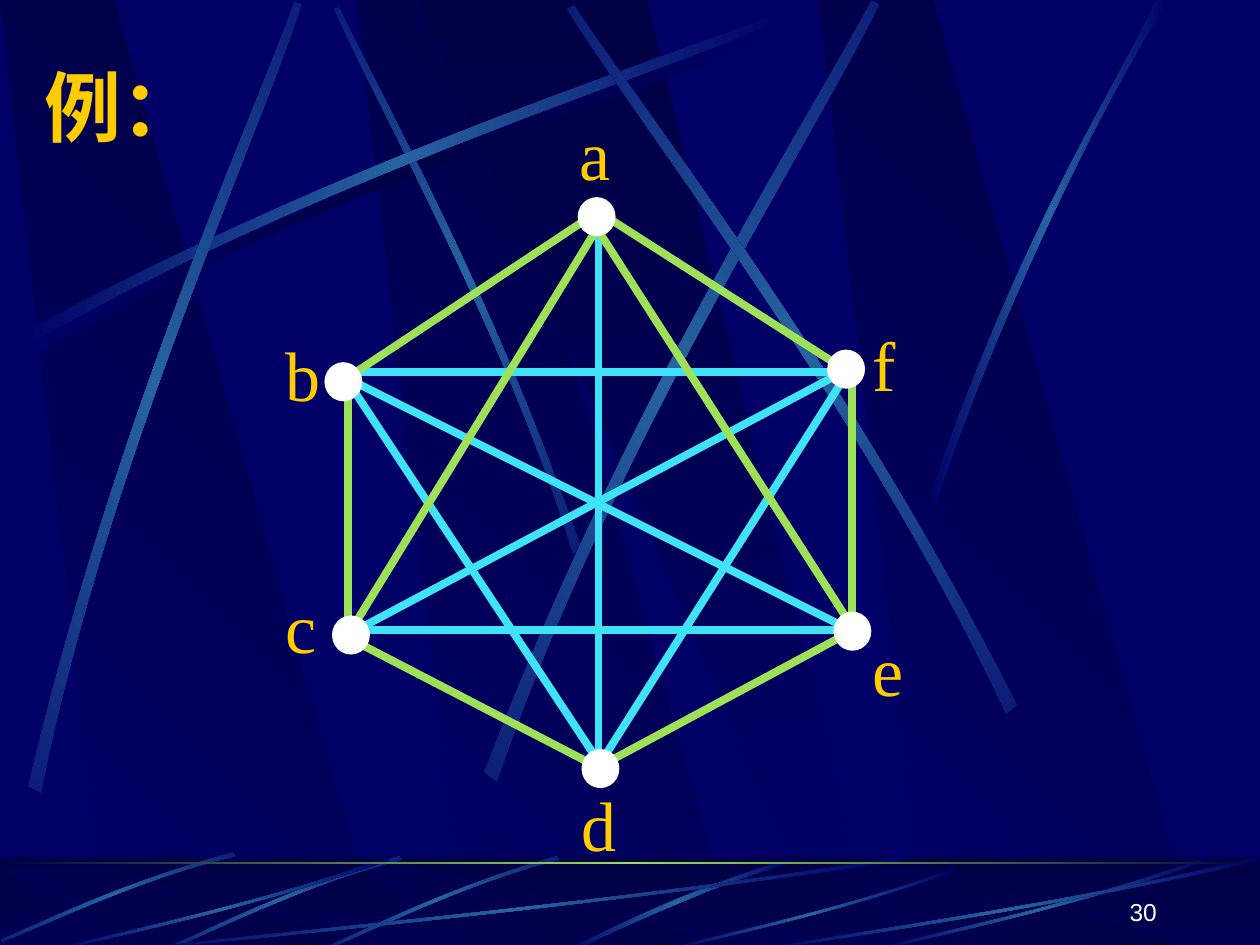
from dataclasses import dataclass

import pptx
import pptx.dml.color
import pptx.enum.shapes
import pptx.enum.text
import pptx.oxml
import pptx.oxml.ns
import pptx.util

COLUMNS, ROWS = 10, 7.5
COLORS = {"night": "000066", "dark": "000044", "steel": "2663A0", "lime": "9CE157",
          "cyan": "40E2F8", "gold": "FFCC00", "white": "FFFFFF"}
ANCHOR = pptx.enum.text.MSO_ANCHOR
ALIGN = pptx.enum.text.PP_ALIGN
FIT = pptx.enum.text.MSO_AUTO_SIZE.SHAPE_TO_FIT_TEXT
SHAPE = pptx.enum.shapes.MSO_SHAPE
GLOW = ("night", "steel", "night")
SHADE = ("night", "dark", "night")

# Outlines in shares of their box; a curved one is two Bezier curves, there and back.
SLAB = [(0.285, 1), (1, 1), (0.3, 0), (0, 0)]
WEDGE = [(0, 0), (0.9, 1), (1, 1), (0.5, 0)]
STREAK = [(0, 0.96), (0.43, 0.43), (0.83, 0.15), (0.995, 0),
          (1, 0.02), (0.83, 0.19), (0.38, 0.5), (0.005, 1)]
SWEEP = [(1, 0.04), (0.565, 0.57), (0.17, 0.85), (0.005, 1),
         (0, 0.99), (0.165, 0.81), (0.615, 0.51), (0.995, 0)]
STEEP = [(0, 0.99), (0.4, 0.44), (0.79, 0.17), (0.95, 0),
         (1, 0), (0.52, 0.37), (0.16, 0.81), (0.03, 1)]
BOW = [(0.99, 0), (0.49, 0.37), (0.16, 0.82), (0, 0.99),
       (0.03, 1), (0.23, 0.77), (0.68, 0.25), (1, 0.04)]


@dataclass
class Box:
    left: float
    top: float
    width: float
    height: float

    def lengths(self) -> list:
        return [grid(value) for value in (self.left, self.top, self.width, self.height)]


@dataclass
class Band:
    outline: list
    box: Box
    turn: float = 0
    flip: bool = False
    colors: tuple = GLOW


@dataclass
class Node:
    name: str
    dot: tuple
    label: tuple
    label_width: float


BIG = (6.08, 2.67)
UPPER_STREAKS = [
    Band(STREAK, Box(0.2, 0.18, *BIG), colors=SHADE),
    Band(STREAK, Box(1.41, 1.35, 4.42, 1.75), 45, True),
    Band(STREAK, Box(0.14, 0.1, *BIG)),
    Band(STREAK, Box(-1.71, 1.82, *BIG), 311.7),
    Band(STREAK, Box(2.31, 1.6, 6.24, 3.01), 321.6),
    Band(STREAK, Box(3.23, 1.52, *BIG), 34.7, True),
    Band(STEEP, Box(7.38, 0, 1.89, 3.97)),
]
LOWER_STREAKS = [
    Band(BOW, Box(4.48, 6.82, 1.8, 0.73)),
    *[Band(STREAK, Box(*place), 315, True)
      for place in ((2.58, 6.76, 1.84, 0.83), (1.33, 6.76, 1.84, 0.83), (0.04, 6.7, 1.8, 0.85))],
    *[Band(SWEEP, Box(left, 7.55 - height, width, height))
      for left, width, height in ((1, 6.17, 0.75), (0.42, 2.67, 0.75), (5.27, 2.31, 0.66),
                                  (6.92, 2.67, 0.75), (6, 4, 0.75))],
]
EDGES = {
    "cyan": [(2.8, 5, 6.8, 5), (4.75, 1.75, 4.75, 6.08), (2.83, 5, 6.75, 2.92),
             (2.75, 3, 6.75, 5), (2.73, 2.98, 4.82, 6.15), (4.75, 6.08, 6.75, 2.92),
             (2.75, 2.95, 6.75, 2.95)],
    "lime": [(2.76, 2.97, 2.76, 5.06), (4.67, 1.73, 2.8, 2.97), (6.74, 5.02, 4.82, 6.05),
             (4.75, 1.68, 6.7, 2.93), (2.76, 5.06, 4.67, 6.05), (4.71, 1.77, 6.74, 4.94),
             (4.79, 1.73, 2.8, 4.98), (6.76, 2.88, 6.76, 4.96)],
}
NODES = [
    Node("d", (4.62, 5.95), (4.52, 6.15), 0.48), Node("e", (6.62, 4.86), (6.83, 4.92), 0.45),
    Node("f", (6.57, 2.78), (6.83, 2.5), 0.39), Node("a", (4.59, 1.57), (4.5, 0.83), 0.45),
    Node("b", (2.58, 2.88), (2.17, 2.58), 0.48), Node("c", (2.64, 4.89), (2.17, 4.58), 0.45),
]


def grid(cells: float) -> int:
    """Length of a number of grid cells, each one inch square."""
    return int(pptx.util.Inches(cells))


def rgb(name: str) -> pptx.dml.color.RGBColor:
    return pptx.dml.color.RGBColor.from_string(COLORS[name])


def element(markup: str):
    """DrawingML element from its markup without the namespace."""
    tag, rest = markup[:markup.index(" ")], markup[markup.index(" "):]
    return pptx.oxml.parse_xml(f'{tag} {pptx.oxml.ns.nsdecls("a")}{rest}')


def paint_gradient(shape, colors: tuple, angle: float = 0) -> None:
    stops = "".join(
        f'<a:gs pos="{100000 * index // (len(colors) - 1)}"><a:srgbClr val="{COLORS[name]}"/></a:gs>'
        for index, name in enumerate(colors))
    shape.fill.background()
    old = shape._element.spPr.find(pptx.oxml.ns.qn("a:noFill"))
    old.getparent().replace(old, element(
        f'<a:gradFill rotWithShape="1"><a:gsLst>{stops}</a:gsLst>'
        f'<a:lin ang="{int(angle * 60000)}" scaled="0"/></a:gradFill>'))
    shape.line.fill.background()
    shape.shadow.inherit = False


def add_outline(group, outline: list, box: Box, flip: bool = False):
    points = [(grid(box.left + box.width * (1 - x if flip else x)),
               grid(box.top + box.height * y)) for x, y in outline]
    builder = group.shapes.build_freeform(*points[0], scale=1.0)
    builder.add_line_segments(points[1:], close=True)
    return builder.convert_to_shape()


def bend(shape) -> None:
    """Turn the sides 1-3 and 5-7 of an outline into one Bezier curve each."""
    sides = shape._element.findall(".//" + pptx.oxml.ns.qn("a:lnTo"))
    for first in (0, 4):
        curve = element("<a:cubicBezTo />")
        sides[first].addprevious(curve)
        for side in sides[first:first + 3]:
            curve.append(side[0])
            side.getparent().remove(side)


def add_band(group, band: Band) -> None:
    shape = add_outline(group, band.outline, band.box, band.flip)
    bend(shape)
    shape.rotation = band.turn
    paint_gradient(shape, band.colors)


def add_slabs(group, top: float, height: float) -> None:
    for left in (2.83, 0, 6.5):
        slab = add_outline(group, SLAB, Box(left, top, 3.02, height))
        paint_gradient(slab, ("night", "dark"), 315)
    wedge = add_outline(group, WEDGE, Box(3.33, top, 3.61, height))
    paint_gradient(wedge, ("dark", "night"), 90)


def add_solid(group, kind, box: Box, color: str):
    shape = group.shapes.add_shape(kind, *box.lengths())
    shape.shadow.inherit = False
    shape.fill.solid()
    shape.fill.fore_color.rgb = rgb(color)
    return shape


def add_backdrop(page, master) -> None:
    """Draw the backdrop as a group and hand it to the slide master."""
    master.background.fill.solid()
    master.background.fill.fore_color.rgb = rgb("night")
    group = page.shapes.add_group_shape()
    add_slabs(group, 0, 7.52)
    for band in UPPER_STREAKS:
        add_band(group, band)
    floor = Box(0, 6.8, COLUMNS, 0.75)
    paint_gradient(add_solid(group, SHAPE.RECTANGLE, floor, "dark"), ("dark", "night"), 90)
    add_slabs(group, 6.88, 0.67)
    veil = add_solid(group, SHAPE.RECTANGLE, floor, "dark")
    veil.line.fill.background()
    tint = veil._element.spPr.find(".//" + pptx.oxml.ns.qn("a:srgbClr"))
    tint.append(element('<a:alpha val="50000"/>'))
    for band in LOWER_STREAKS:
        add_band(group, band)
    horizon = add_solid(group, SHAPE.RECTANGLE, Box(0, 6.84, COLUMNS, 0.02), "lime")
    paint_gradient(horizon, ("dark", "lime", "dark"))
    master.shapes._spTree.insert(2, group._element)


def write(shape, text: str, font: dict, color: str, frame: dict, align=ALIGN.LEFT) -> None:
    for name, value in frame.items():
        setattr(shape.text_frame, name, value)
    para = shape.text_frame.paragraphs[0]
    para.alignment = align
    span = para.add_run()
    span.text = text
    for name, value in font.items():
        setattr(span.font, name, value)
    span.font.color.rgb = rgb(color)


def add_edges(parent, color: str) -> None:
    for ends in EDGES[color]:
        edge = parent.shapes.add_connector(
            pptx.enum.shapes.MSO_CONNECTOR.STRAIGHT, *map(grid, ends))
        edge.line.color.rgb = rgb(color)
        edge.line.width = pptx.util.Pt(4.5)
        edge._element.spPr.append(element("<a:effectLst />"))


def add_graph(page) -> None:
    add_edges(page, "cyan")
    group = page.shapes.add_group_shape()
    add_edges(group, "lime")
    for node in NODES:
        dot = add_solid(group, SHAPE.OVAL, Box(*node.dot, 0.29, 0.3), "white")
        dot.line.color.rgb = rgb("white")
        dot.line.width = pptx.util.Pt(0.75)
    for node in sorted(NODES, key=lambda node: "afedcb".index(node.name)):
        label = group.shapes.add_textbox(*Box(*node.label, node.label_width, 0.77).lengths())
        write(label, node.name, {"size": pptx.util.Pt(40), "name": "Times New Roman"}, "gold",
              {"word_wrap": False, "auto_size": FIT})


def main() -> None:
    deck = pptx.Presentation()
    deck.slide_width, deck.slide_height = grid(COLUMNS), grid(ROWS)
    page = deck.slides.add_slide(deck.slide_layouts[5])
    add_backdrop(page, deck.slide_master)
    title = page.shapes.title
    title.left, title.top, title.width, title.height = Box(0.25, 0.42, 8.5, 0.83).lengths()
    write(title, "例：", {"size": pptx.util.Pt(44), "name": "Montserrat", "bold": True}, "gold",
          {"vertical_anchor": ANCHOR.MIDDLE, "word_wrap": True})
    add_graph(page)
    number = page.shapes.add_textbox(*Box(7.2, 6.9, 2.08, 0.5).lengths())
    write(number, "30", {"size": pptx.util.Pt(14), "name": "Arial"}, "white",
          {"vertical_anchor": ANCHOR.BOTTOM, "word_wrap": True}, ALIGN.RIGHT)
    deck.save("out.pptx")


if __name__ == "__main__":
    main()
